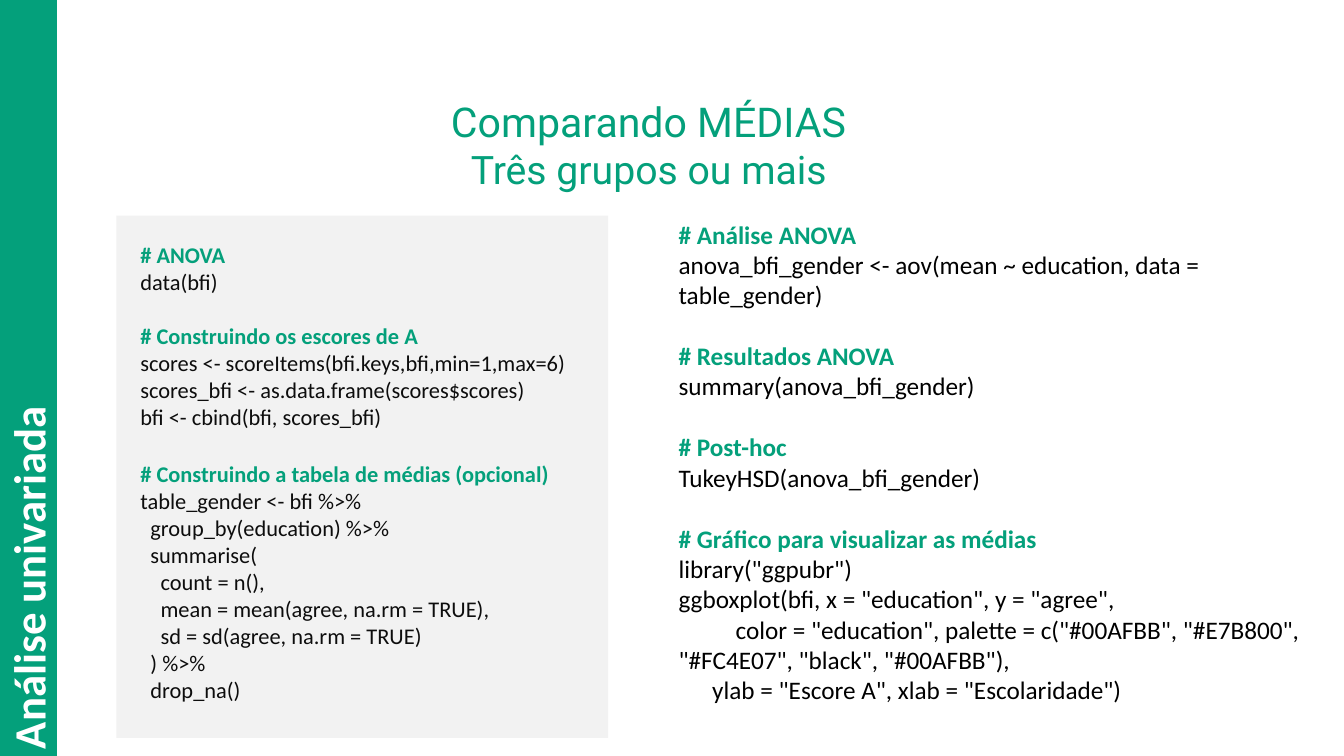
from dataclasses import dataclass

from pptx import Presentation
from pptx.dml.color import RGBColor
from pptx.enum.shapes import MSO_SHAPE
from pptx.enum.text import MSO_ANCHOR, MSO_AUTO_SIZE, PP_ALIGN
from pptx.shapes.autoshape import Shape
from pptx.slide import Slide
from pptx.text.text import TextFrame, _Paragraph
from pptx.util import Inches, Pt


@dataclass(frozen=True)
class Theme:
    green: str = "04A07B"
    panel: str = "F2F2F2"
    white: str = "FFFFFF"
    dark: str = "0D0D0D"
    black: str = "000000"
    title_font: str = "Roboto"
    body_font: str = "Calibri"
    title_size: int = 44
    subtitle_size: int = 42
    section_size: int = 48
    left_size: int = 24
    right_size: int = 27
    line_height: float = 1.22


@dataclass(frozen=True)
class Box:
    left: float
    top: float
    width: float
    height: float


@dataclass(frozen=True)
class CodeBlock:
    comment: str
    lines: tuple[str, ...]
    gap_size: int = 0


THEME = Theme()

PREPARATION = (
    CodeBlock("# ANOVA", ("data(bfi)",)),
    CodeBlock("# Construindo os escores de A", (
        "scores <- scoreItems(bfi.keys,bfi,min=1,max=6)",
        "scores_bfi <- as.data.frame(scores$scores)",
        "bfi <- cbind(bfi, scores_bfi)",
    ), THEME.left_size),
    CodeBlock("# Construindo a tabela de médias (opcional)", (
        "table_gender <- bfi %>%",
        "  group_by(education) %>%",
        "  summarise(",
        "    count = n(),",
        "    mean = mean(agree, na.rm = TRUE),",
        "    sd = sd(agree, na.rm = TRUE)",
        "  ) %>%",
        "  drop_na()",
    ), THEME.right_size),
)

ANALYSIS = (
    CodeBlock("# Análise ANOVA", (
        "anova_bfi_gender <- aov(mean ~ education, data = table_gender)",
    )),
    CodeBlock("# Resultados ANOVA", ("summary(anova_bfi_gender)",), THEME.right_size),
    CodeBlock("# Post-hoc", ("TukeyHSD(anova_bfi_gender)",), THEME.right_size),
    CodeBlock("# Gráfico para visualizar as médias", (
        'library("ggpubr")',
        'ggboxplot(bfi, x = "education", y = "agree",',
        '          color = "education", palette = c("#00AFBB", "#E7B800", '
        '"#FC4E07", "black", "#00AFBB"),',
        '\tylab = "Escore A", xlab = "Escolaridade")',
    ), THEME.right_size),
)


def place(shape: Shape, box: Box) -> None:
    shape.left, shape.top = Inches(box.left), Inches(box.top)
    shape.width, shape.height = Inches(box.width), Inches(box.height)


def add_run(paragraph: _Paragraph, text: str, size: int, color: str,
            bold: bool = False, font: str = THEME.body_font) -> None:
    run = paragraph.add_run()
    run.text = text
    run.font.name = font
    run.font.size = Pt(size)
    run.font.bold = bold
    run.font.color.rgb = RGBColor.from_string(color)


def add_rectangle(slide: Slide, box: Box, color: str) -> Shape:
    shape = slide.shapes.add_shape(
        MSO_SHAPE.RECTANGLE, Inches(box.left), Inches(box.top),
        Inches(box.width), Inches(box.height))
    shape.shadow.inherit = False
    shape.fill.solid()
    shape.fill.fore_color.rgb = RGBColor.from_string(color)
    shape.line.fill.background()
    return shape


def add_text_box(slide: Slide, box: Box) -> Shape:
    shape = slide.shapes.add_textbox(
        Inches(box.left), Inches(box.top), Inches(box.width), Inches(box.height))
    shape.text_frame.word_wrap = True
    return shape


def next_paragraph(frame: TextFrame) -> _Paragraph:
    """Return the empty first paragraph, or a new one after it."""
    first = frame.paragraphs[0]
    return frame.add_paragraph() if first.runs else first


def add_code(slide: Slide, box: Box, blocks: tuple[CodeBlock, ...],
             size: int, color: str) -> None:
    """Write code blocks, each one line of its gap size below the last."""
    frame = add_text_box(slide, box).text_frame
    for block in blocks:
        paragraph = next_paragraph(frame)
        if block.gap_size:
            paragraph.space_before = Pt(round(block.gap_size * THEME.line_height, 1))
        add_run(paragraph, block.comment, size, THEME.green, bold=True)
        for line in block.lines:
            add_run(next_paragraph(frame), line, size, color)


def fill_title(slide: Slide) -> None:
    title = slide.shapes.title
    place(title, Box(1.68, 0.92, 15.95, 2.46))
    frame = title.text_frame
    frame.auto_size = MSO_AUTO_SIZE.NONE
    frame.vertical_anchor = MSO_ANCHOR.MIDDLE
    paragraph = frame.paragraphs[0]
    paragraph.alignment = PP_ALIGN.CENTER
    add_run(paragraph, "Comparando MÉDIAS", THEME.title_size, THEME.green,
            font=THEME.title_font)
    paragraph.add_line_break()
    add_run(paragraph, "Três grupos ou mais", THEME.subtitle_size, THEME.green,
            font=THEME.title_font)


def add_section_band(slide: Slide) -> None:
    band = add_rectangle(slide, Box(0, 0, 0.84, 11.25), THEME.green)
    band.line.color.rgb = RGBColor.from_string(THEME.green)
    band.line.width = Pt(2)
    label = add_text_box(slide, Box(-3.59, 6.78, 8.02, 0.91))
    label.rotation = 270
    add_run(label.text_frame.paragraphs[0], "Análise univariada",
            THEME.section_size, THEME.white, bold=True)


def main() -> None:
    presentation = Presentation()
    presentation.slide_width = Inches(20)
    presentation.slide_height = Inches(11.25)
    slide = presentation.slides.add_slide(presentation.slide_layouts[5])

    fill_title(slide)
    add_section_band(slide)
    add_rectangle(slide, Box(1.73, 3.21, 7.32, 7.77), THEME.panel)
    add_code(slide, Box(1.99, 3.54, 7.37, 7.02), PREPARATION,
             THEME.left_size, THEME.dark)
    add_code(slide, Box(10, 3.21, 9.63, 7.37), ANALYSIS,
             THEME.right_size, THEME.black)
    presentation.save("out.pptx")


if __name__ == "__main__":
    main()
